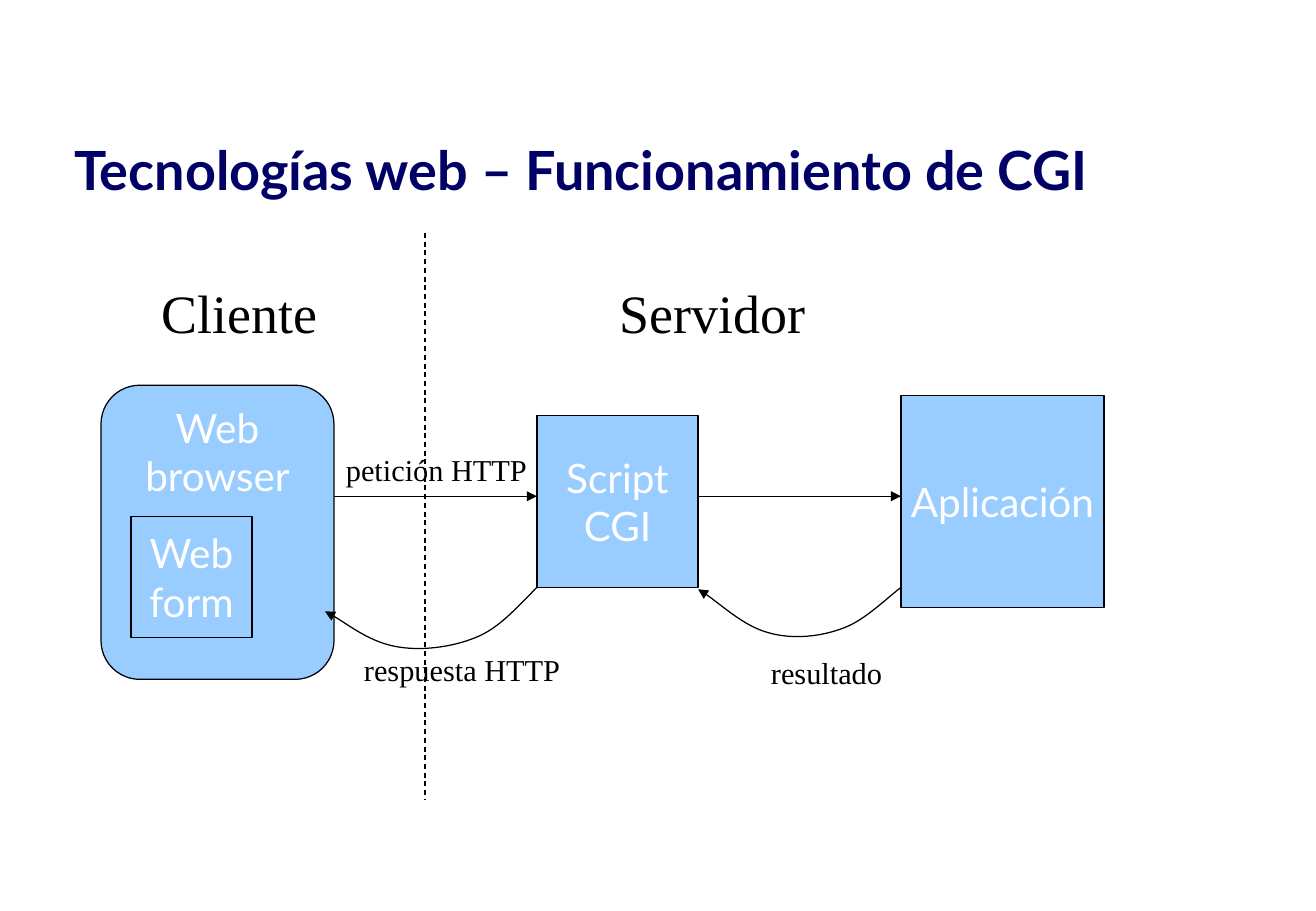
from lxml import etree
from pptx import Presentation
from pptx import util as u
from pptx.dml.color import RGBColor
from pptx.enum import dml, shapes, text
from pptx.oxml.ns import qn

SCALE = 914400 / 121.4  # EMU per pixel
COLORS = {"title": "000066", "box": "99CCFF", "ink": "000000", "box_text": "FFFFFF"}
SANS, SERIF = "Lato", "Times New Roman"
REQUEST_Y = 496
CLIENT_RIGHT, SCRIPT_LEFT, SCRIPT_RIGHT, APP_LEFT = 334, 537, 698, 901


def px(*lengths):
    """Turn pixel lengths into EMU."""
    return [u.Emu(round(length * SCALE)) for length in lengths]


def rgb(name):
    """Look up a named colour."""
    return RGBColor.from_string(COLORS[name])


def write(frame, lines, size, font, color, align=text.PP_ALIGN.LEFT, bold=False):
    """Write one paragraph per line into a text frame."""
    for index, line in enumerate(lines):
        paragraph = frame.add_paragraph() if index else frame.paragraphs[0]
        paragraph.alignment = align
        run = paragraph.add_run()
        run.text = line
        run.font.size = u.Pt(size)
        run.font.name = font
        run.font.bold = bold
        run.font.color.rgb = rgb(color)


def outline(line):
    """Give a line the thin black stroke of the diagram."""
    line.color.rgb = rgb("ink")
    line.width = u.Pt(0.74)


def add_arrowhead(arrow):
    """Put a triangle at the end of an arrow that is already outlined."""
    stroke = arrow.element.spPr.find(qn("a:ln"))
    etree.SubElement(stroke, qn("a:tailEnd"), type="triangle")


def add_title(slide, at, title):
    """Add the bold slide title, set on the bottom of its area."""
    frame = slide.shapes.add_textbox(*px(*at)).text_frame
    frame.word_wrap = True
    frame.vertical_anchor = text.MSO_ANCHOR.BOTTOM
    frame.margin_left = frame.margin_right = u.Inches(0.05)
    write(frame, [title], 32, SANS, "title", bold=True)


def add_label(slide, at, label, size=18):
    """Add a one-line serif label."""
    frame = slide.shapes.add_textbox(*px(*at)).text_frame
    frame.word_wrap = False
    frame.auto_size = text.MSO_AUTO_SIZE.SHAPE_TO_FIT_TEXT
    write(frame, [label], size, SERIF, "ink")


def add_box(slide, at, lines, kind=shapes.MSO_SHAPE.RECTANGLE,
            anchor=text.MSO_ANCHOR.MIDDLE):
    """Add a light blue component box with centred text."""
    box = slide.shapes.add_shape(kind, *px(*at))
    box.shadow.inherit = False
    box.fill.solid()
    box.fill.fore_color.rgb = rgb("box")
    outline(box.line)
    box.text_frame.word_wrap = False
    box.text_frame.vertical_anchor = anchor
    write(box.text_frame, lines, 24, SANS, "box_text", text.PP_ALIGN.CENTER)


def add_straight(slide, start, end, dashed=False):
    """Add a straight arrow, or a dashed divider without a head."""
    straight = slide.shapes.add_connector(
        shapes.MSO_CONNECTOR.STRAIGHT, *px(*start, *end))
    outline(straight.line)
    if dashed:
        straight.line.dash_style = dml.MSO_LINE.DASH
    else:
        add_arrowhead(straight)
    etree.SubElement(straight.element.spPr, qn("a:effectLst"))


def add_curve(slide, start, controls):
    """Add a curved arrow; every three control points form one Bezier piece."""
    builder = slide.shapes.build_freeform(*start, scale=SCALE)
    builder.add_line_segments(controls, close=False)
    curve = builder.convert_to_shape()
    curve.shadow.inherit = False
    curve.fill.background()
    outline(curve.line)
    add_arrowhead(curve)
    segments = list(curve.element.iter(qn("a:lnTo")))
    for first in range(0, len(segments), 3):
        piece = segments[first:first + 3]
        bezier = etree.Element(qn("a:cubicBezTo"))
        piece[0].addprevious(bezier)
        for segment in piece:
            bezier.append(segment[0])
            segment.getparent().remove(segment)


def main():
    """Build the CGI diagram slide."""
    deck = Presentation()
    deck.slide_width, deck.slide_height = u.Inches(10.84), u.Inches(7.5)
    slide = deck.slides.add_slide(deck.slide_layouts[6])

    add_title(slide, (68, 92, 1181, 115), "Tecnologías web – Funcionamiento de CGI")

    add_box(slide, (101, 385, CLIENT_RIGHT - 101, 294), ["Web", "browser"],
            shapes.MSO_SHAPE.FLOWCHART_ALTERNATE_PROCESS, text.MSO_ANCHOR.TOP)
    add_box(slide, (131, 516, 121, 121), ["Web", "form"])
    add_box(slide, (SCRIPT_LEFT, 415, SCRIPT_RIGHT - SCRIPT_LEFT, 172), ["Script", "CGI"])
    add_box(slide, (APP_LEFT, 395, 203, 212), ["Aplicación"])

    for start_x, end_x in ((CLIENT_RIGHT, SCRIPT_LEFT), (SCRIPT_RIGHT, APP_LEFT)):
        add_straight(slide, (start_x, REQUEST_Y), (end_x, REQUEST_Y))
    add_curve(slide, (SCRIPT_LEFT, 587), [
        (517, 607), (499, 628), (476, 637), (452, 647), (420, 651), (395, 646),
        (369, 641), (340, 618), (325, 611)])
    add_curve(slide, (APP_LEFT, 587), [
        (881, 603), (862, 622), (840, 629), (817, 637), (790, 639), (767, 632),
        (743, 625), (713, 597), (SCRIPT_RIGHT, 589)])

    add_label(slide, (334, 445, 210, 49), "petición HTTP")
    add_label(slide, (352, 645, 226, 49), "respuesta HTTP")
    add_label(slide, (759, 648, 140, 49), "resultado")
    add_label(slide, (608, 273, 215, 78), "Servidor", 32)
    add_label(slide, (150, 273, 185, 78), "Cliente", 32)
    add_straight(slide, (425, 233), (425, 799), dashed=True)

    deck.save("out.pptx")


main()
